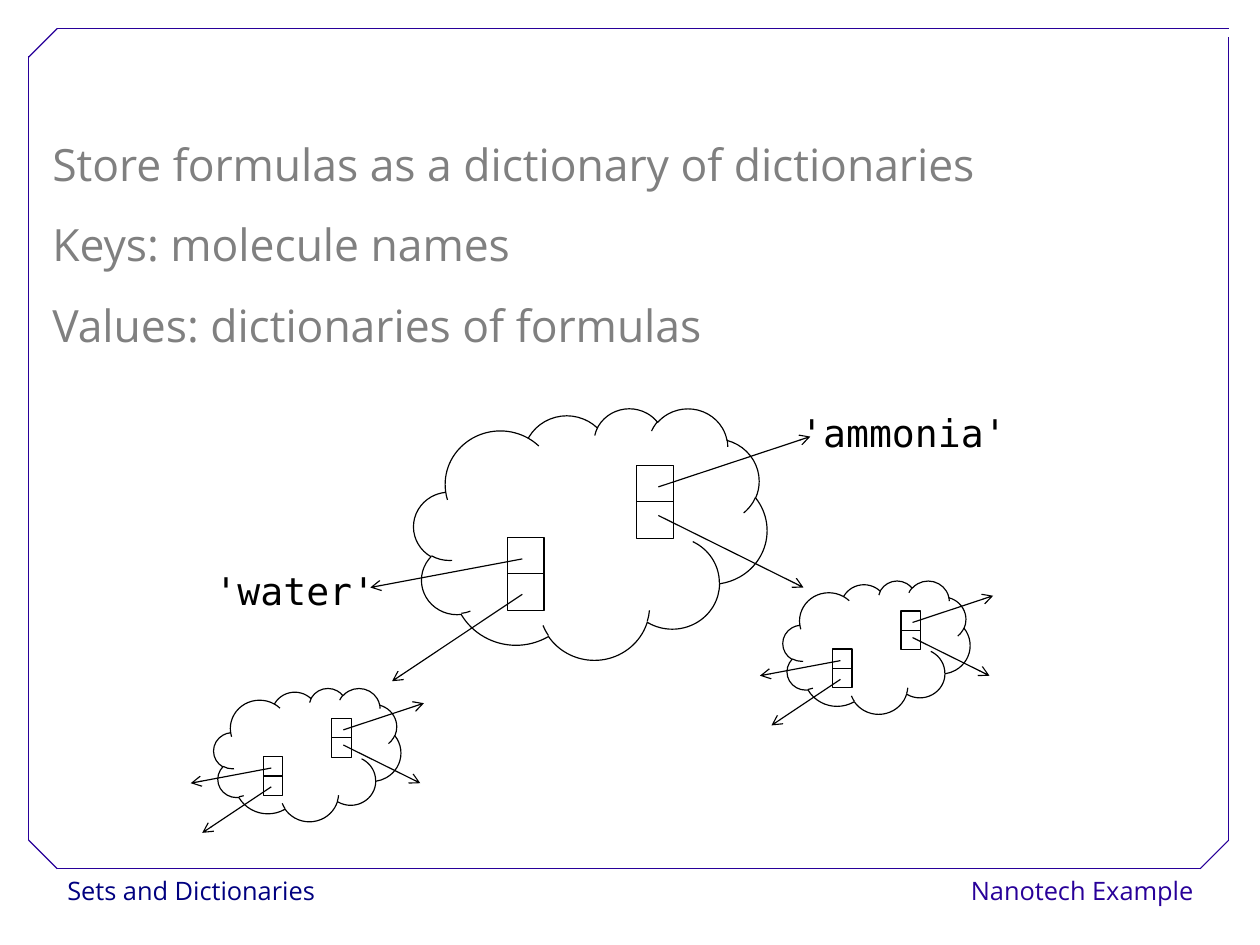
from pptx import Presentation
from pptx.dml.color import RGBColor
from pptx.enum.shapes import MSO_CONNECTOR as MC, MSO_SHAPE as MS
from pptx.enum.text import MSO_AUTO_SIZE as AS, PP_ALIGN as PA
from pptx.oxml.ns import qn
from pptx.util import Inches, Pt
from lxml.etree import SubElement

COLORS = {"white": "FFFFFF", "black": "000000", "grey": "808080",
          "navy": "000080", "violet": "280099"}
CM_PER_INCH = 2.54
SANS, MONO = "Open Sans", "DejaVu Sans Mono"
FORMATS = {
    "body": {"name": SANS, "size": Pt(28)},
    "footer": {"name": SANS, "size": Pt(16)},
    "label": {"name": MONO, "size": Pt(24)},
}
FRAME = [
    ((0.5, 7.6), (10.5, 7.6)), ((0.25, 7.35), (0.25, 0.49)),
    ((0.5, 0.25), (10.75, 0.25)), ((10.75, 7.35), (10.75, 0.32)),
    ((0.25, 0.5), (0.5, 0.25)), ((10.5, 7.6), (10.75, 7.35)),
    ((0.25, 7.35), (0.5, 7.6)),
]
CELL = 0.32
PAIRS = [(0.82, 1.13), (1.95, 0.5)]
ARROWS = [
    ((0.95, 1.32), (-0.38, 1.57)), ((0.95, 1.63), (-0.19, 2.39)),
    ((2.14, 0.69), (3.47, 0.25)), ((2.14, 0.94), (3.41, 1.57)),
]


class Deck:
    """Draws styled elements on the current slide."""

    def __init__(self, prs):
        self.slide = prs.slides.add_slide(prs.slide_layouts[6])
        self.shapes = self.slide.shapes

    def color(self, name):
        return RGBColor.from_string(COLORS[name])

    def text(self, box, lines, style, color, align=PA.LEFT, spacing=1.0,
             indent=0, fill=None, auto=AS.NONE):
        sp = self.shapes.add_textbox(*map(Inches, box))
        if fill:
            sp.fill.solid()
            sp.fill.fore_color.rgb = self.color(fill)
        tf = sp.text_frame
        tf.word_wrap, tf.auto_size = False, auto
        for i, line in enumerate(lines):
            p = tf.add_paragraph() if i else tf.paragraphs[0]
            p.alignment, p.line_spacing = align, spacing
            if indent:
                pPr = p._p.get_or_add_pPr()
                pPr.set("marL", str(Inches(indent)))
                pPr.set("indent", str(-Inches(indent)))
            r = p.add_run()
            r.text = line
            for key, value in FORMATS[style].items():
                setattr(r.font, key, value)
            r.font.color.rgb = self.color(color)

    def line(self, group, start, end, color, arrow=False):
        s = group.shapes.add_connector(
            MC.STRAIGHT, *map(Inches, (*start, *end)))
        s.line.color.rgb = self.color(color)
        s.line.width = Pt(0.75)
        if arrow:
            SubElement(s.line._get_or_add_ln(), qn("a:tailEnd"), type="arrow")
        SubElement(s._element.spPr, qn("a:effectLst"))

    def outline(self, group, kind, *box):
        s = group.shapes.add_shape(kind, *map(Inches, box))
        s.shadow.inherit = False
        s.fill.background()
        s.line.color.rgb = self.color("black")
        s.line.width = Pt(0.75)

    def frame(self):
        group = self.shapes.add_group_shape()
        for start, end in FRAME:
            self.line(group, start, end, "violet")

    def dictionary(self, left, top, scale):
        """Draw a cloud with two key/value pairs and their arrows."""
        group = self.shapes.add_group_shape()

        def place(x, y):
            return left + x * scale, top + y * scale

        self.outline(group, MS.CLOUD, left, top, 3.09 * scale, 2.2 * scale)
        side = CELL * scale
        for x, y in PAIRS:
            for row in (1, 0):
                self.outline(group, MS.RECTANGLE, *place(x, y + row * CELL),
                             side, side)
        for start, end in ARROWS:
            self.line(group, place(*start), place(*end), "black", arrow=True)


def main():
    prs = Presentation()
    prs.slide_width = Inches(28 / CM_PER_INCH)
    prs.slide_height = Inches(21 / CM_PER_INCH)
    deck = Deck(prs)
    deck.text((0.49, 7.6, 2.15, 0.4), ["Sets and Dictionaries"], "footer",
              "navy", spacing=1.02, fill="white")
    deck.text((9.14, 7.6, 1.4, 0.4), ["Nanotech Example"], "footer",
              "violet", PA.RIGHT, spacing=1.02, fill="white")
    deck.frame()
    deck.text((0.36, 0.92, 9.34, 2.2),
              ["Store formulas as a dictionary of dictionaries",
               "Keys: molecule names",
               "Values: dictionaries of formulas"],
              "body", "grey", spacing=1.5, indent=0.5, auto=AS.SHAPE_TO_FIT_TEXT)
    deck.dictionary(3.62, 3.57, 1)
    for box, word in (((1.98, 4.95, 1.2, 0.44), "'water'"),
                      ((7.21, 3.57, 1.39, 0.44), "'ammonia'")):
        deck.text(box, [word], "label", "black", PA.CENTER, spacing=0.93)
    for left, top in ((1.87, 6.02), (6.85, 5.08)):
        deck.dictionary(left, top, 0.53)
    prs.save("out.pptx")


if __name__ == "__main__":
    main()
